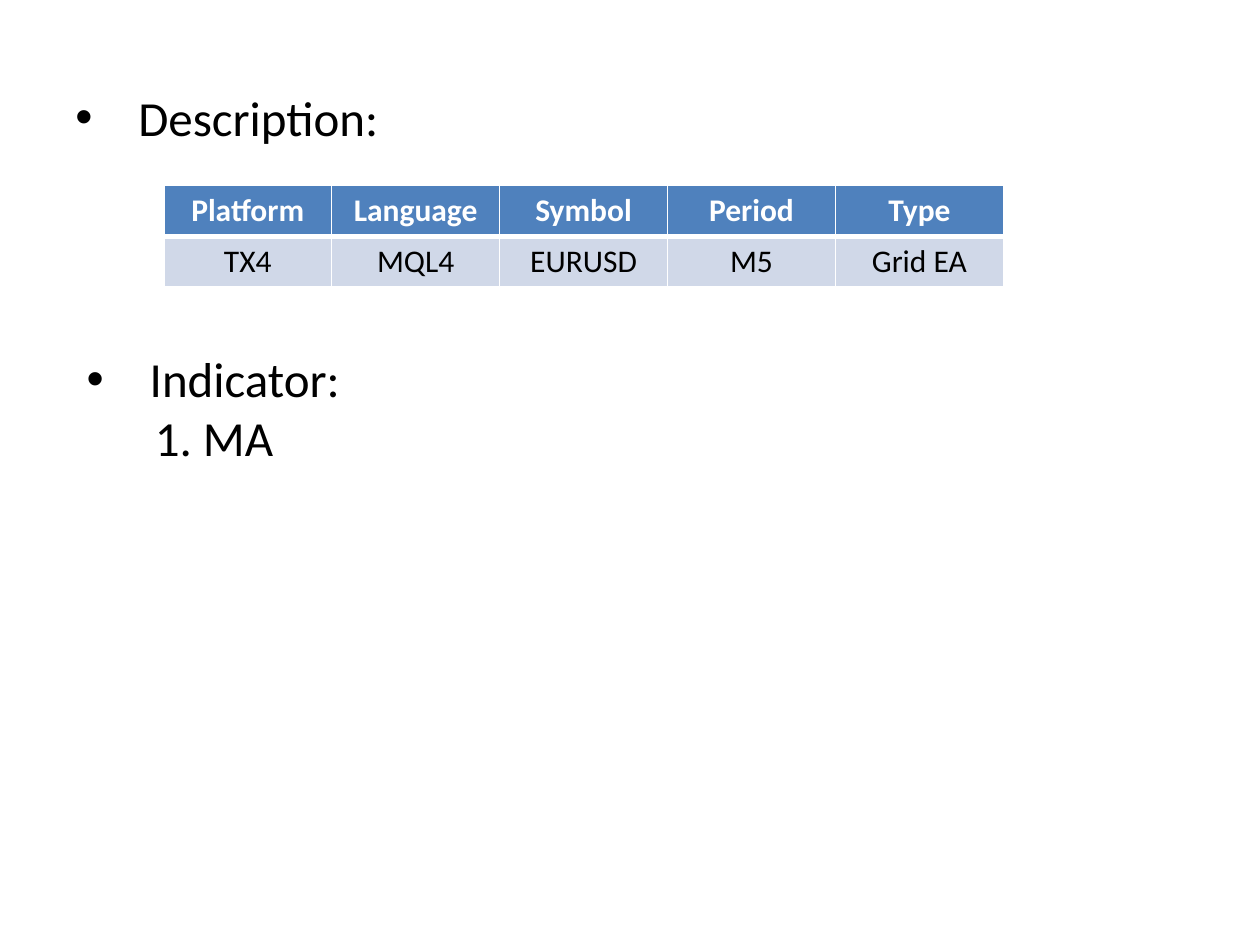
from dataclasses import dataclass

from lxml.etree import SubElement
from pptx import Presentation
from pptx.dml.color import RGBColor
from pptx.enum.text import MSO_ANCHOR, PP_ALIGN
from pptx.oxml.ns import qn
from pptx.slide import Slide
from pptx.table import _Cell
from pptx.util import Inches, Pt

BLACK = RGBColor(0x00, 0x00, 0x00)
WHITE = RGBColor(0xFF, 0xFF, 0xFF)
HEADER_BLUE = RGBColor(0x4F, 0x81, 0xBD)
BODY_BLUE = RGBColor(0xD0, 0xD8, 0xE8)
FONT = "Calibri"


@dataclass(frozen=True)
class Line:
    text: str
    margin: float
    bullet: bool = True


@dataclass(frozen=True)
class TextBlock:
    left: float
    top: float
    width: float
    height: float
    anchor: MSO_ANCHOR
    lines: tuple[Line, ...]


@dataclass(frozen=True)
class RowStyle:
    fill: RGBColor
    color: RGBColor
    bold: bool
    borders: dict[str, float]


BLOCKS = (
    TextBlock(0.5, 0.3, 9, 1.25, MSO_ANCHOR.MIDDLE, (Line("Description:", 0.5),)),
    TextBlock(0.59, 2.72, 2.23, 1.04, MSO_ANCHOR.TOP,
              (Line("Indicator:", 0.5), Line("1. MA", 0.54, bullet=False))),
)

TABLE_LEFT, TABLE_TOP = 1.3, 1.47
COLUMN_WIDTH, ROW_HEIGHT = 1.333, 0.405
ROWS = (
    ("Platform", "Language", "Symbol", "Period", "Type"),
    ("TX4", "MQL4", "EURUSD", "M5", "Grid EA"),
)
ROW_STYLES = (
    RowStyle(HEADER_BLUE, WHITE, True, {"a:lnL": 1, "a:lnR": 1, "a:lnT": 1, "a:lnB": 3}),
    RowStyle(BODY_BLUE, BLACK, False, {"a:lnL": 1, "a:lnR": 1, "a:lnT": 3, "a:lnB": 1}),
)


def add_span(para, text: str, size: float, color: RGBColor, bold: bool = False) -> None:
    span = para.add_run()
    span.text = text
    for name, value in {"name": FONT, "size": Pt(size), "bold": bold}.items():
        setattr(span.font, name, value)
    span.font.color.rgb = color


def set_indent(para, line: Line) -> None:
    properties = para._p.get_or_add_pPr()
    properties.set("marL", str(Inches(line.margin)))
    properties.set("indent", str(Inches(-0.5 if line.bullet else 0)))
    if line.bullet:
        SubElement(properties, qn("a:buFont")).set("typeface", "Arial")
        SubElement(properties, qn("a:buChar")).set("char", "•")
    else:
        SubElement(properties, qn("a:buNone"))


def add_block(page: Slide, block: TextBlock) -> None:
    box = page.shapes.add_textbox(*map(Inches, (block.left, block.top, block.width, block.height)))
    frame = box.text_frame
    frame.word_wrap = True
    frame.vertical_anchor = block.anchor
    for index, line in enumerate(block.lines):
        para = frame.add_paragraph() if index else frame.paragraphs[0]
        set_indent(para, line)
        add_span(para, line.text, 28, BLACK)


def style_cell(cell: _Cell, text: str, style: RowStyle) -> None:
    para = cell.text_frame.paragraphs[0]
    para.alignment = PP_ALIGN.CENTER
    add_span(para, text, 18, style.color, style.bold)
    # Borders come before the fill in the cell properties
    properties = cell._tc.get_or_add_tcPr()
    for tag, width in style.borders.items():
        border = SubElement(properties, qn(tag), w=str(Pt(width)))
        fill = SubElement(border, qn("a:solidFill"))
        SubElement(fill, qn("a:srgbClr")).set("val", str(WHITE))
    cell.fill.solid()
    cell.fill.fore_color.rgb = style.fill


def add_facts_table(page: Slide) -> None:
    columns = len(ROWS[0])
    frame = page.shapes.add_table(
        len(ROWS), columns, Inches(TABLE_LEFT), Inches(TABLE_TOP),
        Inches(COLUMN_WIDTH * columns), Inches(ROW_HEIGHT * len(ROWS)))
    table = frame.table
    table.horz_banding = False
    for row_index, (texts, style) in enumerate(zip(ROWS, ROW_STYLES)):
        for column_index, text in enumerate(texts):
            style_cell(table.cell(row_index, column_index), text, style)


deck = Presentation()
deck.slide_width, deck.slide_height = Inches(10), Inches(7.5)
page = deck.slides.add_slide(deck.slide_layouts[6])

# Headings and the table of facts
description, indicator = BLOCKS
add_block(page, description)
add_facts_table(page)
add_block(page, indicator)

deck.save("out.pptx")
